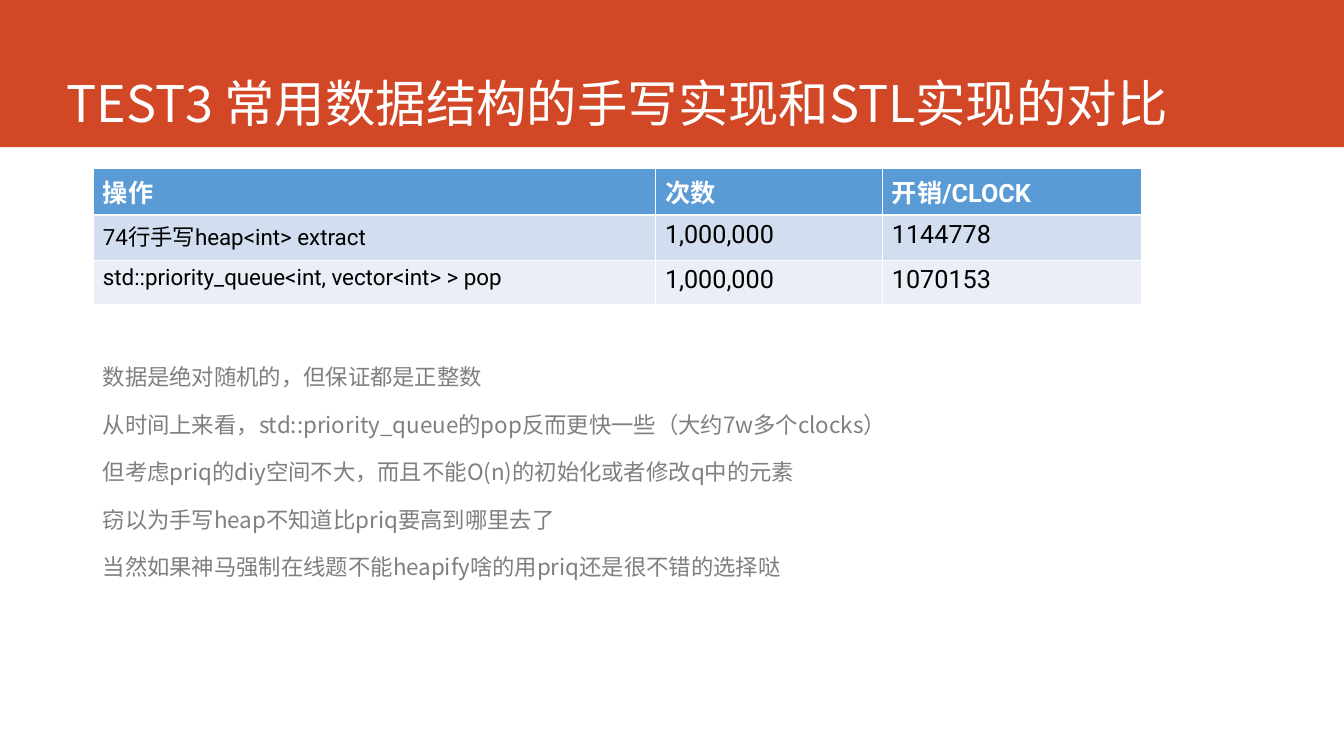
from lxml import etree
from pptx import Presentation
from pptx.dml.color import RGBColor
from pptx.enum.shapes import MSO_SHAPE
from pptx.enum.text import MSO_ANCHOR, PP_ALIGN
from pptx.oxml.ns import qn
from pptx.util import Cm, Pt

RECTANGLE = MSO_SHAPE.RECTANGLE
BOTTOM = MSO_ANCHOR.BOTTOM
LEFT = PP_ALIGN.LEFT

WHITE = RGBColor(0xFF, 0xFF, 0xFF)
BLACK = RGBColor(0x00, 0x00, 0x00)
GRAY = RGBColor(0x7F, 0x7F, 0x7F)
ORANGE = RGBColor(0xD2, 0x47, 0x26)
HEADER_BLUE = RGBColor(0x5B, 0x9B, 0xD5)
ROW_FILLS = [HEADER_BLUE, RGBColor(0xD2, 0xDE, 0xEF), RGBColor(0xEA, 0xEF, 0xF7)]

CJK_FONT = "Noto Sans CJK SC"
TABLE_FONT = "Roboto"


def format_paragraph(paragraph, size, color, latin_font, bold=False):
    paragraph.alignment = LEFT
    for run in paragraph.runs:
        font = run.font
        font.size, font.bold, font.name = Pt(size), bold, latin_font
        font.color.rgb = color
        east_asian = etree.SubElement(run._r.get_or_add_rPr(), qn("a:ea"))
        east_asian.set("typeface", CJK_FONT)


def add_border(cell, side, width):
    line = etree.SubElement(cell._tc.get_or_add_tcPr(), qn(f"a:{side}"), w=str(Pt(width)))
    fill = etree.SubElement(line, qn("a:solidFill"))
    etree.SubElement(fill, qn("a:srgbClr"), val=str(WHITE))


prs = Presentation()
prs.slide_width, prs.slide_height = Cm(33.88), Cm(19.05)
slide = prs.slides.add_slide(prs.slide_layouts[5])

# Title band, behind the title
band = slide.shapes.add_shape(RECTANGLE, 0, 0, prs.slide_width, Cm(3.71))
band.shadow.inherit = False
band.fill.solid()
band.fill.fore_color.rgb = ORANGE
band.line.fill.background()
slide.shapes._spTree.insert(2, band._element)

# Title
title = slide.shapes.title
title.left, title.top, title.width, title.height = Cm(1.42), 0, Cm(32.44), Cm(3.35)
title.text_frame.text = "TEST3 常用数据结构的手写实现和STL实现的对比"
title.text_frame.vertical_anchor = BOTTOM
title.text_frame.margin_bottom = 0
format_paragraph(title.text_frame.paragraphs[0], 36, WHITE, CJK_FONT)

# Remarks
remarks = [
    "数据是绝对随机的，但保证都是正整数",
    "从时间上来看，std::priority_queue的pop反而更快一些（大约7w多个clocks）",
    "但考虑priq的diy空间不大，而且不能O(n)的初始化或者修改q中的元素",
    "窃以为手写heap不知道比priq要高到哪里去了",
    "当然如果神马强制在线题不能heapify啥的用priq还是很不错的选择哒",
]
remarks_frame = slide.shapes.add_textbox(Cm(2.34), Cm(9.14), Cm(28.93), Cm(8.38)).text_frame
remarks_frame.word_wrap = True
remarks_frame.text = "\n".join(remarks)
for paragraph in remarks_frame.paragraphs:
    paragraph.space_before, paragraph.space_after = Pt(6), Pt(12)
    paragraph.line_spacing = 0.83
    format_paragraph(paragraph, 16, GRAY, CJK_FONT)

# Timing table
timings = [
    ["操作", "次数", "开销/CLOCK"],
    ["74行手写heap<int> extract", "1,000,000", "1144778"],
    ["std::priority_queue<int, vector<int> > pop", "1,000,000", "1070153"],
]
column_widths = [14.17, 5.72, 6.53]
row_heights = [1.17, 1.14, 1.12]
table = slide.shapes.add_table(
    len(timings), len(column_widths), Cm(2.34), Cm(4.24),
    Cm(sum(column_widths)), Cm(sum(row_heights))).table
for column, width in zip(table.columns, column_widths):
    column.width = Cm(width)
for r, (values, height, row_fill) in enumerate(zip(timings, row_heights, ROW_FILLS)):
    table.rows[r].height = Cm(height)
    is_header = r == 0
    for c, value in enumerate(values):
        cell = table.cell(r, c)
        cell.text_frame.text = value
        size = 16 if c == 0 and not is_header else 18
        format_paragraph(cell.text_frame.paragraphs[0], size,
                         WHITE if is_header else BLACK, TABLE_FONT, is_header)
        # Borders come before the fill in the cell properties
        for side in ("lnL", "lnR", "lnT", "lnB"):
            under_header = (r, side) in ((0, "lnB"), (1, "lnT"))
            add_border(cell, side, 1.47 if under_header else 0.45)
        cell.fill.solid()
        cell.fill.fore_color.rgb = row_fill

prs.save("out.pptx")
